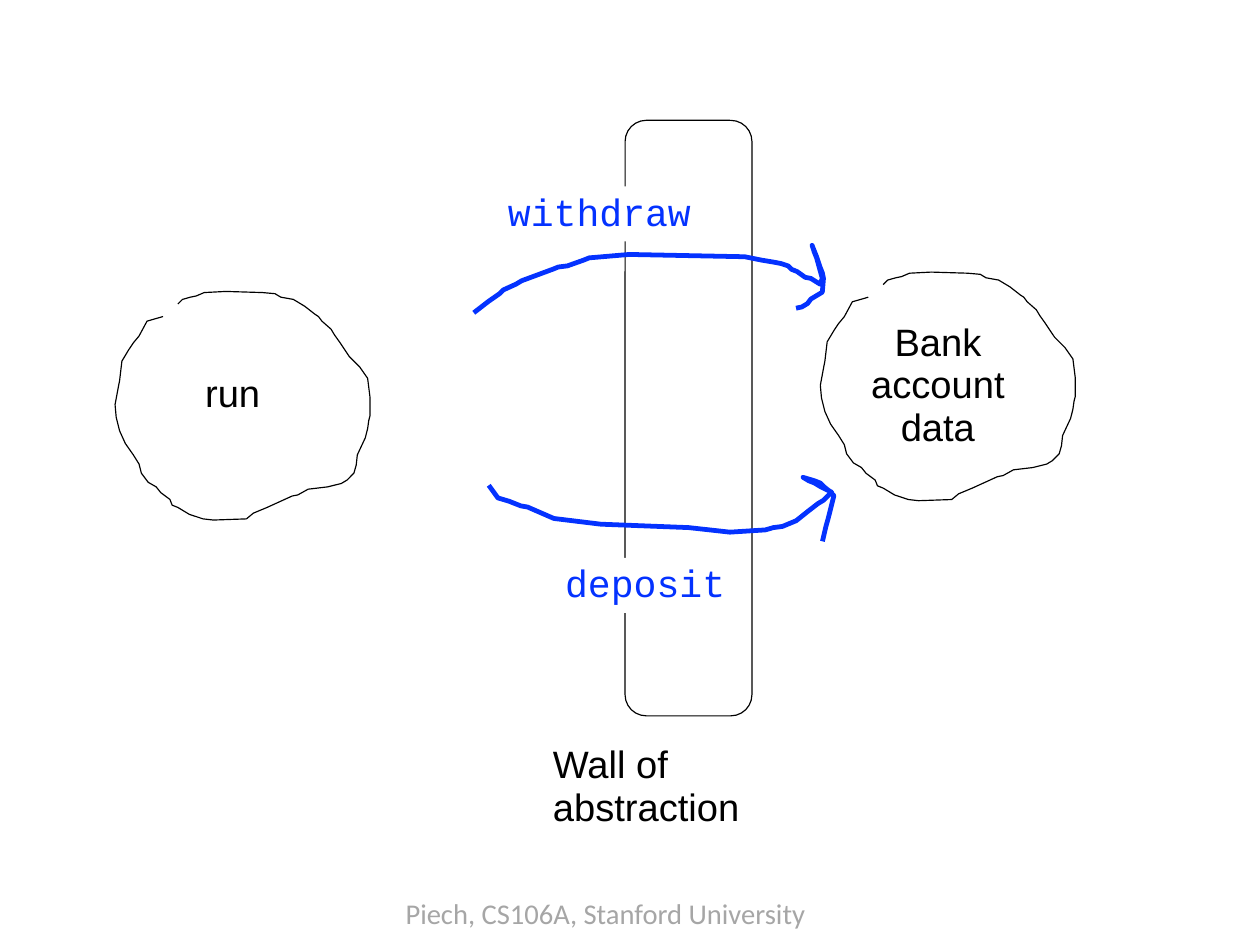
import pptx
import pptx.util
import pptx.dml.color
import pptx.enum.shapes
import pptx.enum.text

Pt = pptx.util.Pt
ALIGN = pptx.enum.text.PP_ALIGN
SHAPE = pptx.enum.shapes.MSO_SHAPE

COLORS = {"ink": "000000", "call": "0432FF", "paper": "FFFFFF", "footer": "A6A6A6"}
UNIT = 0.72  # points per unit of the hand-drawn strokes

BLOB = [
    (42, 22), (28, 26), (21, 39), (16, 45), (12, 51), (6, 61), (4, 78), (3, 83),
    (0, 99), (1, 110), (4, 122), (9, 133), (16, 143), (21, 151), (23, 159),
    (29, 167), (36, 171), (40, 176), (48, 182), (50, 187), (55, 189), (65, 195),
    (77, 199), (86, 200), (115, 199), (121, 194), (133, 189), (155, 179),
    (160, 178), (169, 173), (186, 171), (198, 168), (203, 165), (209, 159),
    (211, 152), (212, 143), (219, 128), (221, 120), (222, 113), (223, 109),
    (223, 92), (221, 76), (214, 66), (205, 57), (197, 45), (192, 38), (189, 33),
    (181, 26), (178, 22), (175, 20), (166, 13), (156, 7), (145, 5), (140, 2),
    (129, 1), (97, 0), (78, 1), (71, 4), (66, 5), (59, 7), (55, 11),
]
WITHDRAW = [
    (0, 60), (13, 50), (23, 43), (26, 40), (37, 35), (42, 32), (69, 22), (74, 20),
    (82, 19), (96, 14), (101, 12), (136, 9), (237, 11), (252, 14), (264, 16),
    (269, 17), (275, 19), (278, 22), (283, 24), (290, 29), (295, 30), (303, 35),
    (305, 30), (300, 12), (298, 7), (296, 1), (300, 11), (303, 20), (305, 25),
    (306, 30), (305, 42), (295, 48), (292, 52), (287, 55), (282, 56),
]
DEPOSIT = [
    (0, 7), (8, 18), (18, 21), (28, 25), (34, 26), (57, 36), (98, 41), (175, 44),
    (211, 48), (242, 46), (249, 44), (257, 43), (269, 38), (279, 30), (288, 23),
    (293, 20), (300, 13), (290, 8), (285, 5), (280, 3), (275, 0), (285, 3),
    (290, 5), (293, 8), (298, 12), (302, 16), (297, 36), (295, 43), (292, 56),
]


def rgb(name):
    return pptx.dml.color.RGBColor.from_string(COLORS[name])


def add_text(s, text, x, y, w, h, size=24, font="Arial", color="ink",
             align=ALIGN.LEFT, wrap=True, fill=None):
    sp = s.shapes.add_textbox(Pt(x), Pt(y), Pt(w), Pt(h))
    if fill:
        sp.fill.solid()
        sp.fill.fore_color.rgb = rgb(fill)
    tf = sp.text_frame
    tf.word_wrap = wrap
    p = tf.paragraphs[0]
    p.alignment = align
    p.line_spacing = 0.93
    r = p.add_run()
    r.text = text
    r.font.size = Pt(size)
    r.font.name = font
    r.font.color.rgb = rgb(color)


def outline(sp, color, width):
    sp.shadow.inherit = False
    sp.fill.background()
    sp.line.color.rgb = rgb(color)
    sp.line.width = Pt(width)


def add_stroke(s, points, x, y, color, width):
    fb = s.shapes.build_freeform(*points[0], scale=Pt(UNIT))
    fb.add_line_segments(points[1:], close=False)
    outline(fb.convert_to_shape(Pt(x), Pt(y)), color, width)


def add_wall(s, x, y, w, h):
    wall = s.shapes.add_shape(SHAPE.ROUNDED_RECTANGLE, Pt(x), Pt(y), Pt(w), Pt(h))
    outline(wall, "ink", 0.75)
    add_text(s, "Wall of abstraction", x - 52.5, y + h + 14.8, 150, 64)


def add_party(s, text, x, y, text_top, text_height):
    """Hand-drawn blob with a centred label."""
    add_stroke(s, BLOB, x, y, "ink", 0.75)
    add_text(s, text, x + 24.8, y + text_top, 98.6, text_height, align=ALIGN.CENTER)


def add_call(s, name, points, x, y, label_x, label_y, label_w):
    """Arrow through the wall with the name of the method."""
    add_stroke(s, points, x, y, "call", 3)
    add_text(s, name, x + label_x, y + label_y, label_w, 34.6,
             font="Courier New", color="call", wrap=False, fill="paper")


def main():
    prs = pptx.Presentation()
    prs.slide_width, prs.slide_height = Pt(793.75), Pt(595.25)
    s = prs.slides.add_slide(prs.slide_layouts[6])

    # Footer
    add_text(s, "Piech, CS106A, Stanford University", 248.4, 563, 269.3, 27.4,
             size=18, font="Calibri", color="footer", wrap=False)

    # Wall and the two sides of it
    add_wall(s, 393.8, 75.8, 79.9, 375.1)
    add_party(s, "Bank account data", 516.8, 171.4, 28, 94.3)
    add_party(s, "run", 72.5, 183.6, 48.2, 34.6)

    # Calls across the wall
    add_call(s, "withdraw", WITHDRAW, 298.5, 153.8, 14.4, -36.4, 130.3)
    add_call(s, "deposit", DEPOSIT, 307.9, 300.7, 41, 50.7, 115.9)

    prs.save("out.pptx")


if __name__ == "__main__":
    main()
